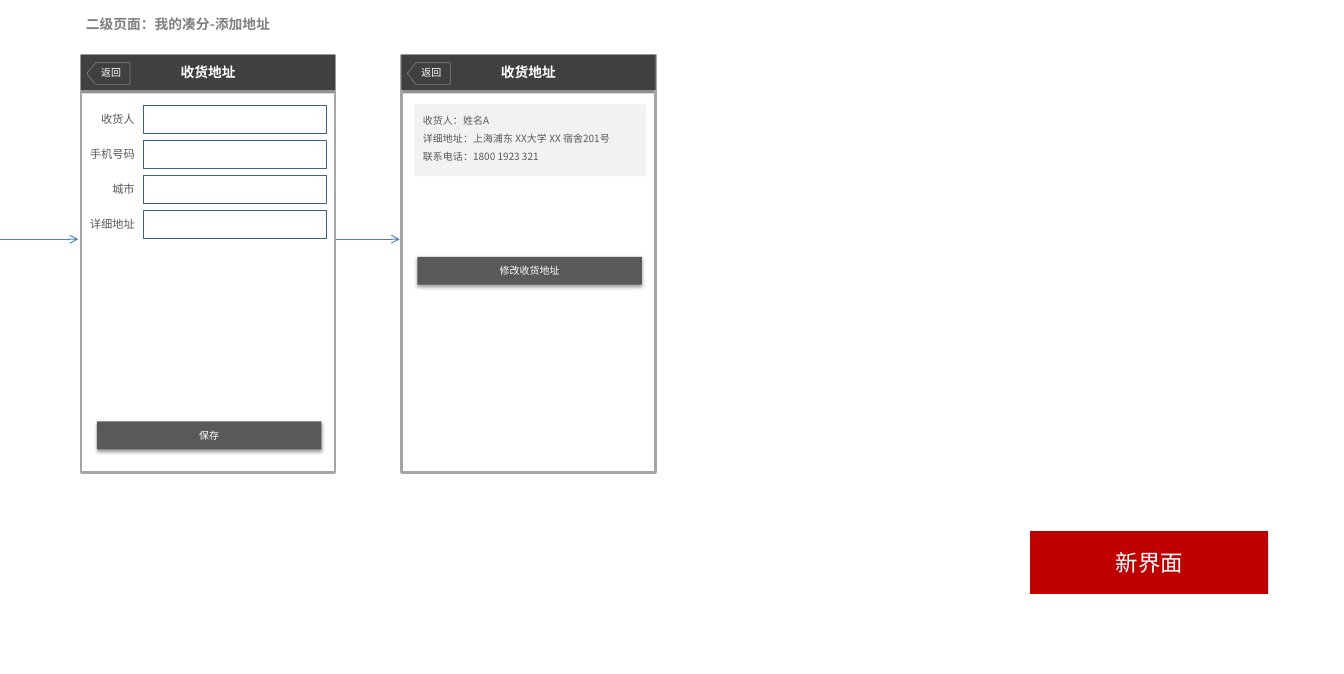
from lxml import etree
from pptx import Presentation
from pptx import util as u
from pptx.dml import color
from pptx.enum import shapes, text
from pptx.oxml import ns

FONT = "Noto Sans CJK SC"
SHAPE = shapes.MSO_SHAPE
ALIGN = text.PP_ALIGN
ANCHOR = text.MSO_ANCHOR
PHONE_TOP, PHONE_WIDTH, PHONE_HEIGHT, BAR_HEIGHT = 1.55, 7.19, 11.81, 0.99
FORM_LEFT, DETAIL_LEFT = 2.29, 11.35
FIELD_TOP, FIELD_PITCH = 2.97, 0.99


def rgb(value):
    return color.RGBColor.from_string(value)


def add_child(parent, tag, **attributes):
    return etree.SubElement(parent, ns.qn(tag), attributes)


def write(shape, content, size=8, tint="FFFFFF", bold=False, align=ALIGN.CENTER,
          anchor=ANCHOR.MIDDLE, spacing=1.0):
    frame = shape.text_frame
    frame.word_wrap = True
    frame.auto_size = text.MSO_AUTO_SIZE.NONE
    frame.vertical_anchor = anchor
    frame.margin_left = frame.margin_right = u.Cm(0.25)
    frame.margin_top = frame.margin_bottom = u.Cm(0.12)
    for index, line in enumerate(content.split("\n")):
        para = frame.add_paragraph() if index else frame.paragraphs[0]
        para.alignment = align
        para.line_spacing = spacing
        span = para.add_run()
        span.text = line
        span.font.name = FONT
        span.font.size = u.Pt(size)
        span.font.bold = bold
        span.font.color.rgb = rgb(tint)
        add_child(span.font._element, "a:ea", typeface=FONT)


def add_box(page, left, top, width, height, fill=None, line=None, weight=0.75,
            alpha=None, kind=SHAPE.RECTANGLE):
    box = page.shapes.add_shape(kind, u.Cm(left), u.Cm(top), u.Cm(width), u.Cm(height))
    box.shadow.inherit = False
    if fill:
        box.fill.solid()
        box.fill.fore_color.rgb = rgb(fill)
    else:
        box.fill.background()
    if alpha:
        fill_color = box._element.spPr.find(".//" + ns.qn("a:srgbClr"))
        add_child(fill_color, "a:alpha", val=str(alpha * 1000))
    if line:
        box.line.color.rgb = rgb(line)
        box.line.width = u.Pt(weight)
    else:
        box.line.fill.background()
    return box


def add_label(page, content, left, top, width, height, **style):
    label = page.shapes.add_textbox(u.Cm(left), u.Cm(top), u.Cm(width), u.Cm(height))
    write(label, content, **style)


def add_button(page, content, left, top):
    button = add_box(page, left, top, 6.35, 0.79, fill="595959")
    effects = button._element.spPr.find(ns.qn("a:effectLst"))
    shadow = add_child(effects, "a:outerShdw", blurRad=str(u.Pt(3.1)),
                       dist=str(u.Pt(1.6)), dir="5400000", rotWithShape="0")
    shade = add_child(shadow, "a:srgbClr", val="000000")
    add_child(shade, "a:alpha", val="38000")
    write(button, content)


def add_phone(page, left, heading):
    add_box(page, left, PHONE_TOP + 0.1, PHONE_WIDTH, BAR_HEIGHT, fill="404040", alpha=58)
    add_box(page, left, PHONE_TOP, PHONE_WIDTH, PHONE_HEIGHT, line="A6A6A6", weight=2)
    bar = add_box(page, left, PHONE_TOP, PHONE_WIDTH, BAR_HEIGHT, fill="404040")
    write(bar, heading, size=11, bold=True)
    back = add_box(page, left + 0.47, 1.47, 0.61, 1.22, line="808080", weight=0.5,
                   kind=SHAPE.FLOWCHART_OFFPAGE_CONNECTOR)
    back.rotation = 90
    add_label(page, "返回", left + 0.2, 1.75, 1.3, 0.61)


def add_field(page, name, top):
    add_label(page, name, 1.9, top + 0.08, 2.16, 0.64, size=9, tint="595959",
              align=ALIGN.RIGHT)
    add_box(page, 4.06, top, 5.16, 0.79, fill="FFFFFF", line="3A5F8C")


def add_arrow(page, start, end, height):
    arrow = page.shapes.add_connector(shapes.MSO_CONNECTOR.STRAIGHT, u.Cm(start),
                                      u.Cm(height), u.Cm(end), u.Cm(height))
    arrow.line.color.rgb = rgb("4B7EBC")
    arrow.line.width = u.Pt(0.75)
    add_child(arrow.line._get_or_add_ln(), "a:tailEnd", type="arrow")
    add_child(arrow._element.spPr, "a:effectLst")


def add_title(page, content):
    title = page.shapes.title
    title.left, title.top = u.Cm(2.18), u.Cm(0.33)
    title.width, title.height = u.Cm(5.79), u.Cm(1.15)
    write(title, content, size=11, tint="808080", bold=True, align=ALIGN.LEFT,
          anchor=ANCHOR.TOP)


def main():
    deck = Presentation()
    deck.slide_width, deck.slide_height = u.Cm(38), u.Cm(19.05)
    page = deck.slides.add_slide(deck.slide_layouts[5])
    add_title(page, "二级页面：我的凑分-添加地址")

    add_phone(page, FORM_LEFT, "收货地址")
    for row, name in enumerate(["收货人", "手机号码", "城市", "详细地址"]):
        add_field(page, name, FIELD_TOP + row * FIELD_PITCH)
    add_button(page, "保存", FORM_LEFT + 0.45, 11.91)

    add_phone(page, DETAIL_LEFT, "收货地址")
    card = add_box(page, DETAIL_LEFT + 0.36, 2.95, 6.55, 2.03, fill="F2F2F2")
    write(card, "收货人：姓名A\n详细地址：上海浦东 XX大学 XX 宿舍201号\n联系电话：1800 1923 321",
          tint="595959", align=ALIGN.LEFT, anchor=ANCHOR.TOP, spacing=1.5)
    add_button(page, "修改收货地址", DETAIL_LEFT + 0.45, 7.26)

    for start, end in [(0, 2.21), (9.5, 11.3)]:
        add_arrow(page, start, end, 6.76)
    tag = add_box(page, 29.13, 15.01, 6.73, 1.78, fill="C00000")
    write(tag, "新界面", size=18)
    deck.save("out.pptx")


main()
